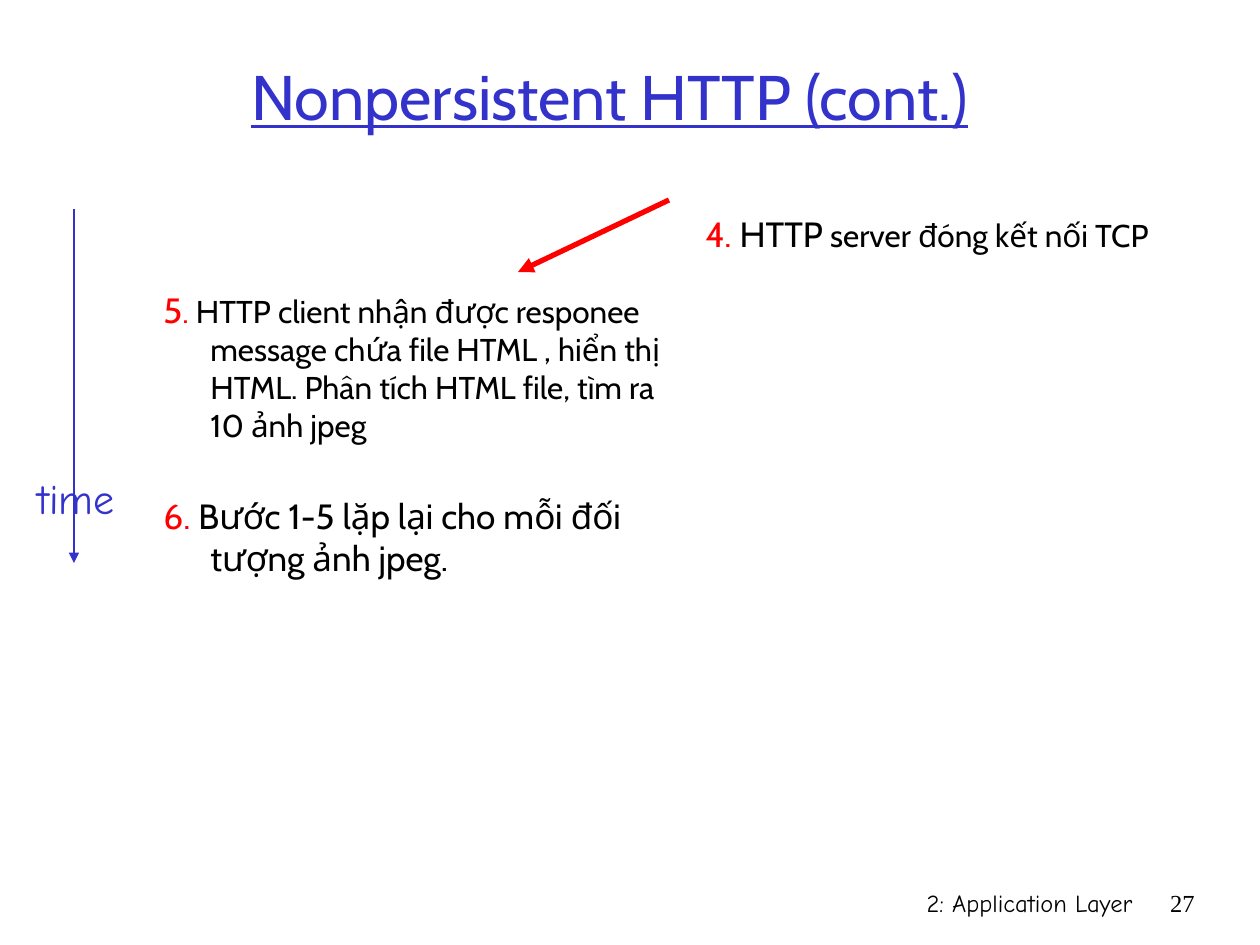
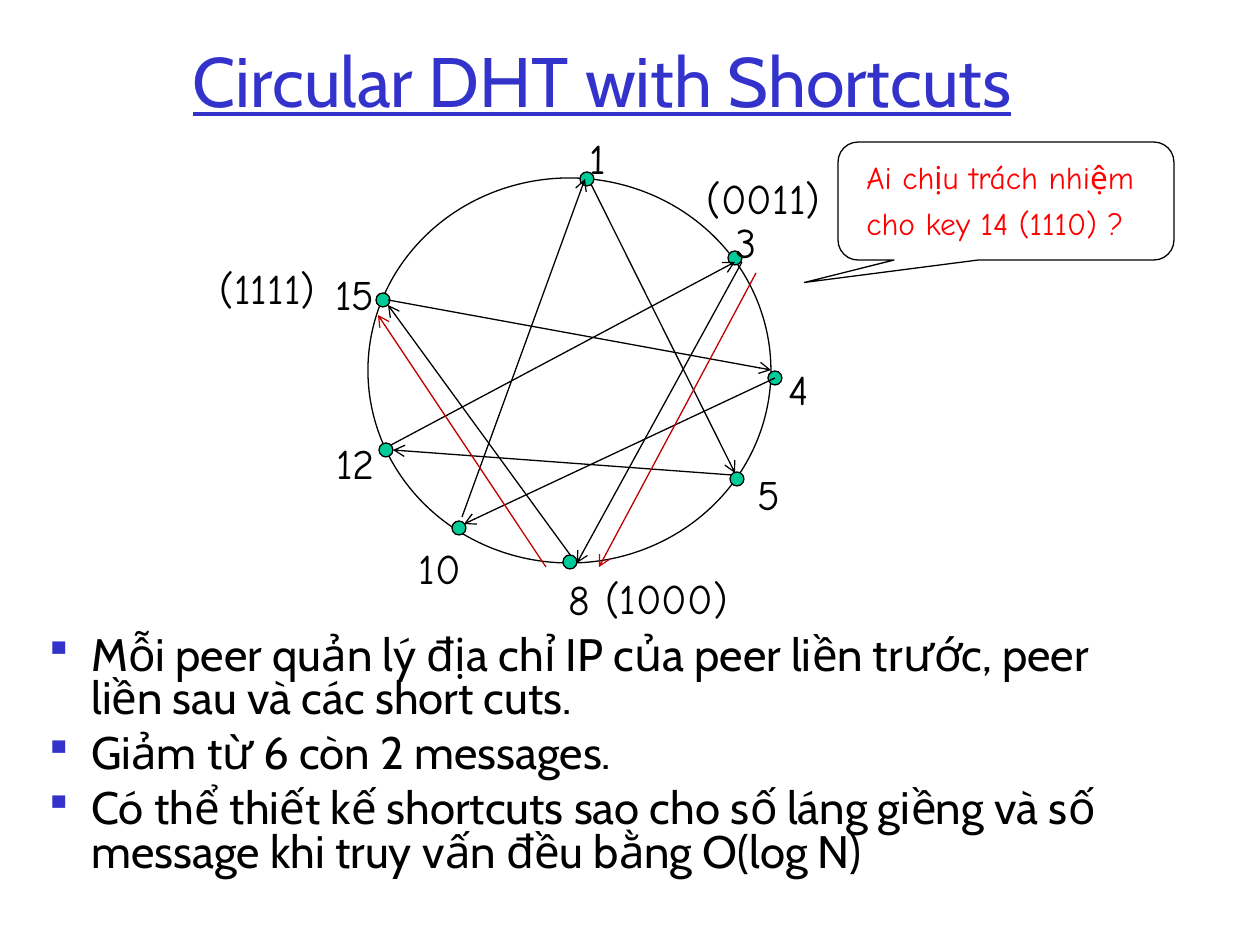
import pptx
import pptx.dml.color
import pptx.enum.shapes
import pptx.enum.text
import pptx.oxml.ns
import pptx.util
from lxml import etree

PX = 914400 / 126
BLUE, RED, DARK_RED = "3333CC", "FF0000", "C00000"
BLACK, GREEN = "000000", "00CC99"
SANS, HAND, SERIF = "Cabin", "Comic Neue", "Times New Roman"
HANGING = 47
DOT = 14
LABEL_HEIGHT = 63

ALIGN = pptx.enum.text.PP_ALIGN
ANCHOR = pptx.enum.text.MSO_ANCHOR
AUTO_SIZE = pptx.enum.text.MSO_AUTO_SIZE
SHAPE = pptx.enum.shapes.MSO_SHAPE

# peer: dot left, dot top, label left, label top, label width
PEERS = {
    "1": (580, 172, 577, 126, 42),
    "3": (728, 251, 723, 210, 47),
    "4": (768, 371, 776, 357, 45),
    "5": (730, 472, 745, 462, 48),
    "8": (563, 555, 556, 567, 47),
    "10": (452, 521, 406, 536, 67),
    "12": (379, 443, 324, 431, 63),
    "15": (376, 293, 323, 262, 64),
}
SHORTCUTS = [
    (775, 378, 464, 524),
    (732, 475, 393, 450),
    (571, 556, 388, 305),
    (462, 517, 585, 179),
    (391, 445, 735, 262),
    (388, 300, 771, 370),
    (591, 184, 735, 473),
    (742, 262, 577, 563),
]
QUERY_HOPS = [(756, 273, 599, 567), (546, 567, 378, 315)]
PEER_KEYS = [
    ("(1111)", 207, 256, 121),
    ("(1000)", 593, 566, 147),
    ("(0011)", 694, 166, 139),
]


def emu(length):
    return pptx.util.Emu(round(length * PX))


def colour(value):
    return pptx.dml.color.RGBColor.from_string(value)


def add_bullet(para):
    properties = para._p.get_or_add_pPr()
    bullet_colour = etree.SubElement(properties, pptx.oxml.ns.qn("a:buClr"))
    etree.SubElement(bullet_colour, pptx.oxml.ns.qn("a:srgbClr"), val=BLUE)
    etree.SubElement(properties, pptx.oxml.ns.qn("a:buSzPct"), val="85000")
    etree.SubElement(properties, pptx.oxml.ns.qn("a:buChar"), char="▪")


def write(box, paragraphs, size=24, font=HAND, ink=BLACK, align=ALIGN.LEFT,
          underline=False, hanging=False, bullet=False, before=0, spacing=None):
    """Fill a box; a paragraph is a string or a list of (text, size, colour)."""
    frame = box.text_frame
    for index, spans in enumerate(paragraphs):
        para = frame.add_paragraph() if index else frame.paragraphs[0]
        if bullet:
            add_bullet(para)
        if hanging:
            properties = para._p.get_or_add_pPr()
            properties.set("marL", str(emu(HANGING)))
            properties.set("indent", str(emu(-HANGING)))
        para.alignment = align
        if spacing:
            para.line_spacing = spacing
        if index:
            para.space_before = pptx.util.Pt(before)
        if isinstance(spans, str):
            spans = [(spans, size, ink)]
        for text, span_size, span_ink in spans:
            span = para.add_run()
            span.text = text
            span.font.name = font
            span.font.size = pptx.util.Pt(span_size)
            span.font.color.rgb = colour(span_ink)
            if underline:
                span.font.underline = True


def add_text(page, left, top, width, height, paragraphs, **text_format):
    box = page.shapes.add_textbox(emu(left), emu(top), emu(width), emu(height))
    box.text_frame.word_wrap = True
    write(box, paragraphs, **text_format)
    return box


def add_label(page, text, left, top, width, ink=BLACK):
    """Centre one line in a box without side margins, so that it never wraps."""
    box = add_text(page, left, top, width, LABEL_HEIGHT, [text],
                   ink=ink, align=ALIGN.CENTER)
    box.text_frame.word_wrap = False
    box.text_frame.margin_left = box.text_frame.margin_right = 0


def add_page(deck, title, left, top, width, height, size):
    page = deck.slides.add_slide(deck.slide_layouts[5])
    box = page.shapes.title
    box.left, box.top = emu(left), emu(top)
    box.width, box.height = emu(width), emu(height)
    box.text_frame.word_wrap = True
    box.text_frame.auto_size = AUTO_SIZE.NONE
    box.text_frame.vertical_anchor = ANCHOR.MIDDLE
    write(box, [title], size=size, font=SANS, ink=BLUE,
          align=ALIGN.CENTER, underline=True)
    return page


def add_outline(page, kind, left, top, width, height, fill=None):
    shape = page.shapes.add_shape(kind, emu(left), emu(top), emu(width), emu(height))
    shape.shadow.inherit = False
    if fill:
        shape.fill.solid()
        shape.fill.fore_color.rgb = colour(fill)
    else:
        shape.fill.background()
    shape.line.color.rgb = colour(BLACK)
    shape.line.width = pptx.util.Pt(0.75)
    return shape


def add_arrow(page, start_x, start_y, end_x, end_y, ink=BLACK, weight=0.75, head="arrow"):
    arrow = page.shapes.add_connector(
        pptx.enum.shapes.MSO_CONNECTOR.STRAIGHT,
        emu(start_x), emu(start_y), emu(end_x), emu(end_y))
    arrow.line.color.rgb = colour(ink)
    arrow.line.width = pptx.util.Pt(weight)
    properties = arrow._element.spPr
    line = properties.find(pptx.oxml.ns.qn("a:ln"))
    etree.SubElement(line, pptx.oxml.ns.qn("a:tailEnd"), type=head)
    etree.SubElement(properties, pptx.oxml.ns.qn("a:effectLst"))


def add_footer(page, chapter, number):
    add_text(page, 746, 882, 399, 63, [chapter], size=14, align=ALIGN.RIGHT)
    add_text(page, 1144, 882, 63, 63, [number], size=14, font=SERIF, align=ALIGN.RIGHT)


def add_step(page, left, top, height, spans):
    add_text(page, left, top, 525, height, [spans], font=SANS, hanging=True)


def build_http_page(deck):
    page = add_page(deck, "Nonpersistent HTTP (cont.)", 74, 35, 1071, 120, 36)
    add_footer(page, "2: Application Layer", "27")
    add_step(page, 693, 206, 101, [
        ("4.", 20, RED), (" HTTP", 20, BLACK), (" server đóng kết nối TCP", 18, BLACK)])
    add_step(page, 151, 282, 212, [
        ("5", 20, RED), (".", 18, RED),
        (" HTTP client nhận được responee message chứa file HTML , hiển thị HTML. "
         "Phân tích HTML file, tìm ra 10 ảnh jpeg", 18, BLACK)])
    add_step(page, 151, 488, 92, [
        ("6.", 20, RED), (" Bước 1-5 lặp lại cho mỗi đối tượng ảnh jpeg.", 20, BLACK)])
    add_arrow(page, 74, 209, 74, 563, ink=BLUE, weight=1.5, head="triangle")
    add_label(page, "time", 25, 466, 102, ink=BLUE)
    add_arrow(page, 669, 200, 518, 272, ink=RED, weight=3, head="triangle")


def add_ring(page):
    add_outline(page, SHAPE.OVAL, 368, 178, 403, 385)
    for peer, (dot_left, dot_top, left, top, width) in PEERS.items():
        add_outline(page, SHAPE.OVAL, dot_left, dot_top, DOT, DOT, fill=GREEN)
        add_label(page, peer, left, top, width)
    for shortcut in SHORTCUTS:
        add_arrow(page, *shortcut)
    for hop in QUERY_HOPS:
        add_arrow(page, *hop, ink=DARK_RED)
    for key, left, top, width in PEER_KEYS:
        add_label(page, key, left, top, width)


def add_question(page):
    callout = add_outline(page, SHAPE.ROUNDED_RECTANGULAR_CALLOUT, 838, 142, 336, 118)
    for index, value in enumerate((-0.6, 0.69, 0.17)):
        callout.adjustments[index] = value
    add_text(page, 854, 152, 334, 97, ["Ai chịu trách nhiệm", "cho key 14 (1110) ?"],
             size=18, ink=RED, before=4.5)


def build_dht_page(deck):
    page = add_page(deck, "Circular DHT with Shortcuts", 35, 0, 1134, 158, 40)
    add_text(page, 32, 630, 1134, 260, [
        "Mỗi peer quản lý địa chỉ IP của peer liền trước, peer liền sau và các short cuts.",
        "Giảm từ 6 còn 2 messages.",
        "Có thể thiết kế shortcuts sao cho số láng giềng và số message khi truy vấn "
        "đều bằng O(log N)",
    ], size=26, font=SANS, hanging=True, bullet=True, before=6.5, spacing=0.8)
    add_ring(page)
    add_question(page)


def main():
    deck = pptx.Presentation()
    deck.slide_width, deck.slide_height = emu(1260), emu(945)
    build_http_page(deck)
    build_dht_page(deck)
    deck.save("out.pptx")


if __name__ == "__main__":
    main()
